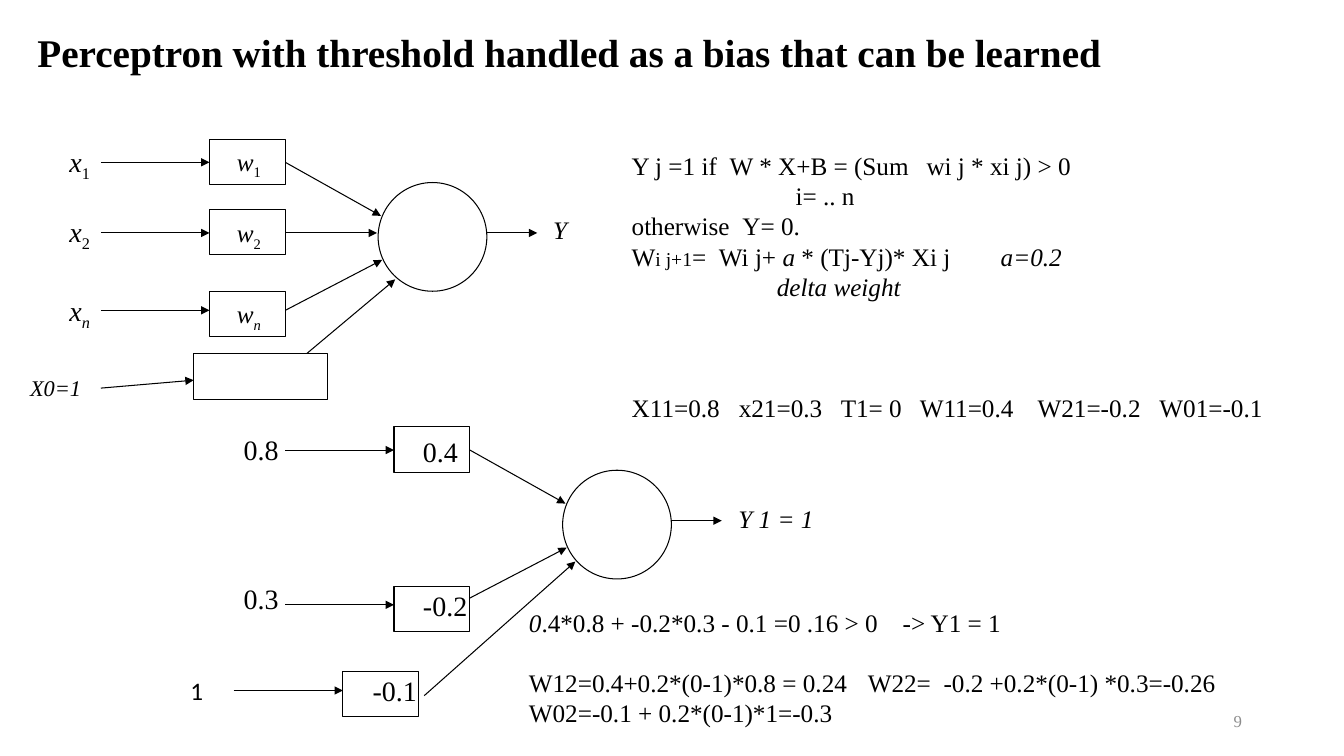
from dataclasses import dataclass

from lxml import etree
from pptx import Presentation
from pptx.dml.color import RGBColor
from pptx.enum.shapes import MSO_CONNECTOR, MSO_SHAPE
from pptx.enum.text import MSO_ANCHOR, MSO_AUTO_SIZE, PP_ALIGN
from pptx.oxml.ns import qn
from pptx.util import Cm, Pt

STRAIGHT = MSO_CONNECTOR.STRAIGHT
RECTANGLE, OVAL = MSO_SHAPE.RECTANGLE, MSO_SHAPE.OVAL
TOP, MIDDLE = MSO_ANCHOR.TOP, MSO_ANCHOR.MIDDLE
LEFT, RIGHT = PP_ALIGN.LEFT, PP_ALIGN.RIGHT
NO_RESIZE = MSO_AUTO_SIZE.NONE


@dataclass(frozen=True)
class Theme:
    font: str = "Times New Roman"
    plain_font: str = "Calibri"
    ink: RGBColor = RGBColor(0, 0, 0)
    paper: RGBColor = RGBColor(255, 255, 255)
    muted: RGBColor = RGBColor(0x8C, 0x8C, 0x8C)
    title: int = 28
    value: int = 20
    body: int = 18
    bias: int = 16
    index: int = 14
    number: int = 12
    line: float = 0.75


THEME = Theme()
BOX_WIDTH, BOX_HEIGHT, NEURON_SIZE = 1.91, 1.14, 2.74
# Distance from the upper network to the lower one
SHIFT_X, SHIFT_Y = 4.65, 7.25


# Text: runs are (text, style) with i = italic, s = subscript, x = small index
def add_runs(paragraph, runs):
    for text, style in runs:
        run = paragraph.add_run()
        run.text = text
        if "i" in style:
            run.font.italic = True
        if "x" in style:
            run.font.size = Pt(THEME.index)
        if "s" in style:
            run._r.get_or_add_rPr().set("baseline", "-25000")


def set_font(paragraph, size, color=THEME.ink, name=THEME.font, bold=None):
    font = paragraph.font
    font.name, font.size, font.bold = name, Pt(size), bold
    font.color.rgb = color


def add_tabs(paragraph, stops):
    tab_list = etree.SubElement(paragraph._p.get_or_add_pPr(), qn("a:tabLst"))
    for stop in stops:
        etree.SubElement(tab_list, qn("a:tab"), pos=str(Cm(stop)), algn="l")


def add_text(slide, left, top, width, height, lines, size=THEME.body, wrap=True,
             name=THEME.font):
    """Each line is (runs, tab stops, indent, space before)."""
    shape = slide.shapes.add_textbox(Cm(left), Cm(top), Cm(width), Cm(height))
    frame = shape.text_frame
    frame.word_wrap = wrap
    for position, (runs, stops, indent, space) in enumerate(lines):
        paragraph = frame.add_paragraph() if position else frame.paragraphs[0]
        add_runs(paragraph, runs)
        if indent:
            paragraph._p.get_or_add_pPr().set("marL", str(Cm(indent)))
        if stops:
            add_tabs(paragraph, stops)
        if space:
            paragraph.space_before = Pt(space)
        set_font(paragraph, size, name=name)
    return shape


def add_label(slide, left, top, runs, size=THEME.value, width=1.42, name=THEME.font):
    lines = [(runs, (), 0, 0)]
    return add_text(slide, left, top, width, 1.1, lines, size, wrap=False, name=name)


# Diagram parts
def add_outline(slide, kind, left, top, width, height):
    shape = slide.shapes.add_shape(kind, Cm(left), Cm(top), Cm(width), Cm(height))
    shape.shadow.inherit = False
    shape.fill.solid()
    shape.fill.fore_color.rgb = THEME.paper
    shape.line.color.rgb = THEME.ink
    shape.line.width = Pt(THEME.line)


def add_arrow(slide, start, end):
    points = [Cm(value) for value in (*start, *end)]
    connector = slide.shapes.add_connector(STRAIGHT, *points)
    connector.line.color.rgb = THEME.ink
    connector.line.width = Pt(THEME.line)
    etree.SubElement(connector.line._get_or_add_ln(), qn("a:tailEnd"), type="triangle")
    etree.SubElement(connector._element.spPr, qn("a:effectLst"))


def add_weight(slide, left, top, input_start, input_end, link_start, link_end,
               width=BOX_WIDTH):
    add_arrow(slide, link_start, link_end)
    add_arrow(slide, input_start, input_end)
    add_outline(slide, RECTANGLE, left, top, width, BOX_HEIGHT)


def add_network(slide, dx, dy, rows):
    """Each row is (box top, arrow height, link end)."""
    add_outline(slide, OVAL, 9.53 + dx, 4.6 + dy, NEURON_SIZE, NEURON_SIZE)
    left = 5.28 + dx
    for box_top, arrow_y, link_y, (end_x, end_y) in rows:
        add_weight(slide, left, box_top + dy,
                   (2.54 + dx, arrow_y + dy), (left, arrow_y + dy),
                   (left + BOX_WIDTH, link_y + dy), (end_x + dx, end_y + dy))
    add_arrow(slide, (12.27 + dx, 5.87 + dy), (13.54 + dx, 5.87 + dy))


def add_title(slide, text):
    title = slide.shapes.title
    title.left, title.top, title.width, title.height = Cm(0.69), Cm(0.58), Cm(27.61), Cm(1.45)
    frame = title.text_frame
    frame.text = text
    frame.word_wrap, frame.auto_size, frame.vertical_anchor = False, NO_RESIZE, TOP
    paragraph = frame.paragraphs[0]
    paragraph.alignment = LEFT
    set_font(paragraph, THEME.title, bold=True)


def add_number(slide, text):
    shape = add_text(slide, 23.93, 17.65, 7.62, 1.02, [([(text, "")], (), 0, 0)])
    shape.text_frame.vertical_anchor = MIDDLE
    paragraph = shape.text_frame.paragraphs[0]
    paragraph.alignment = RIGHT
    set_font(paragraph, THEME.number, THEME.muted)


def main():
    presentation = Presentation()
    presentation.slide_width, presentation.slide_height = Cm(33.87), Cm(19.05)
    slide = presentation.slides.add_slide(presentation.slide_layouts[5])
    add_title(slide, "Perceptron with threshold handled as a bias that can be learned")

    # General network
    first_end, last_end = (9.6, 5.44), (9.63, 6.55)
    add_network(slide, 0, 0, [
        (3.51, 4.09, 4.09, first_end),
        (5.28, 5.87, 5.87, (9.5, 5.87)),
        (7.34, 7.82, 7.82, last_end),
    ])
    add_weight(slide, 4.88, 8.92, (2.54, 9.78), (4.88, 9.58), (7.24, 9.32), (9.96, 7.04), 3.38)
    for index, style, input_top, weight_top in (
            ("1", "s", 3.51, 3.56), ("2", "s", 5.28, 5.36), ("n", "is", 7.26, 7.4)):
        add_label(slide, 1.5, input_top, [("x", "i"), (index, style)], width=1.07)
        add_label(slide, 5.72, weight_top, [("w", "i"), (index, style)], THEME.body, 1.19)
    add_label(slide, 0.51, 9.3, [("X0=1", "i")], THEME.bias, 1.8)
    add_label(slide, 13.69, 5.28, [("Y", "i")], THEME.body, 0.86)

    # Worked example
    add_network(slide, SHIFT_X, SHIFT_Y, [
        (3.51, 4.09, 4.09, first_end),
        (7.53, 7.99, 7.82, last_end),
    ])
    add_weight(slide, 8.64, 16.92, (5.89, 17.4), (8.64, 17.4), (10.69, 17.53), (14.5, 14.15))
    for left, top, value in ((5.89, 10.77, "0.8"), (5.89, 14.53, "0.3"), (10.41, 10.82, "0.4"),
                             (10.41, 14.71, "-0.2"), (9.14, 16.84, "-0.1")):
        add_label(slide, left, top, [(value, "")], width=1.63 if "-" in value else 1.42)
    add_label(slide, 4.55, 16.89, [("1", "")], THEME.body, 0.84, THEME.plain_font)
    add_label(slide, 18.36, 12.55, [("Y 1 = 1", "i")], THEME.body, 2.41)

    # Learning rule
    add_text(slide, 15.67, 3.66, 13.67, 4.11, [
        ([("Y j =1 if\tW * X+B = (Sum\twi j * xi j) > 0", "")], (2.47, 7.43), 0, 0),
        ([("i= .. n", "")], (), 4.13, 0),
        ([("otherwise\tY= 0.", "")], (2.79,), 0, 0),
        ([("W", ""), ("i j+1", "x"), ("=\tWi j+ ", ""), ("a", "i"),
          (" * (Tj-Yj)* Xi j\t", ""), ("a=0.2", "i")], (2.2, 9.3), 0, 0),
        ([("delta weight", "i")], (), 3.66, 0),
    ])

    # Example values and updates
    add_text(slide, 15.67, 9.75, 17.04, 1.02, [
        ([("X11=0.8\tx21=0.3\tT1= 0\tW11=0.4\tW21=-0.2\tW01=-0.1", "")],
         (2.7, 5.27, 7.26, 10.23, 13.3), 0, 0),
    ])
    add_text(slide, 13.08, 15.19, 20.17, 3.33, [
        ([("0", "i"), (".4*0.8 + -0.2*0.3 - 0.1 =0 .16 > 0\t-> Y1 = 1", "")], (9.42,), 0, 0),
        ([("W12=0.4+0.2*(0-1)*0.8 = 0.24\tW22=\t-0.2 +0.2*(0-1) *0.3=-0.26", "")],
         (8.54, 10.45), 0, 21),
        ([("W02=-0.1 + 0.2*(0-1)*1=-0.3", "")], (), 0, 0),
    ])
    add_number(slide, "9")
    presentation.save("out.pptx")


if __name__ == "__main__":
    main()
